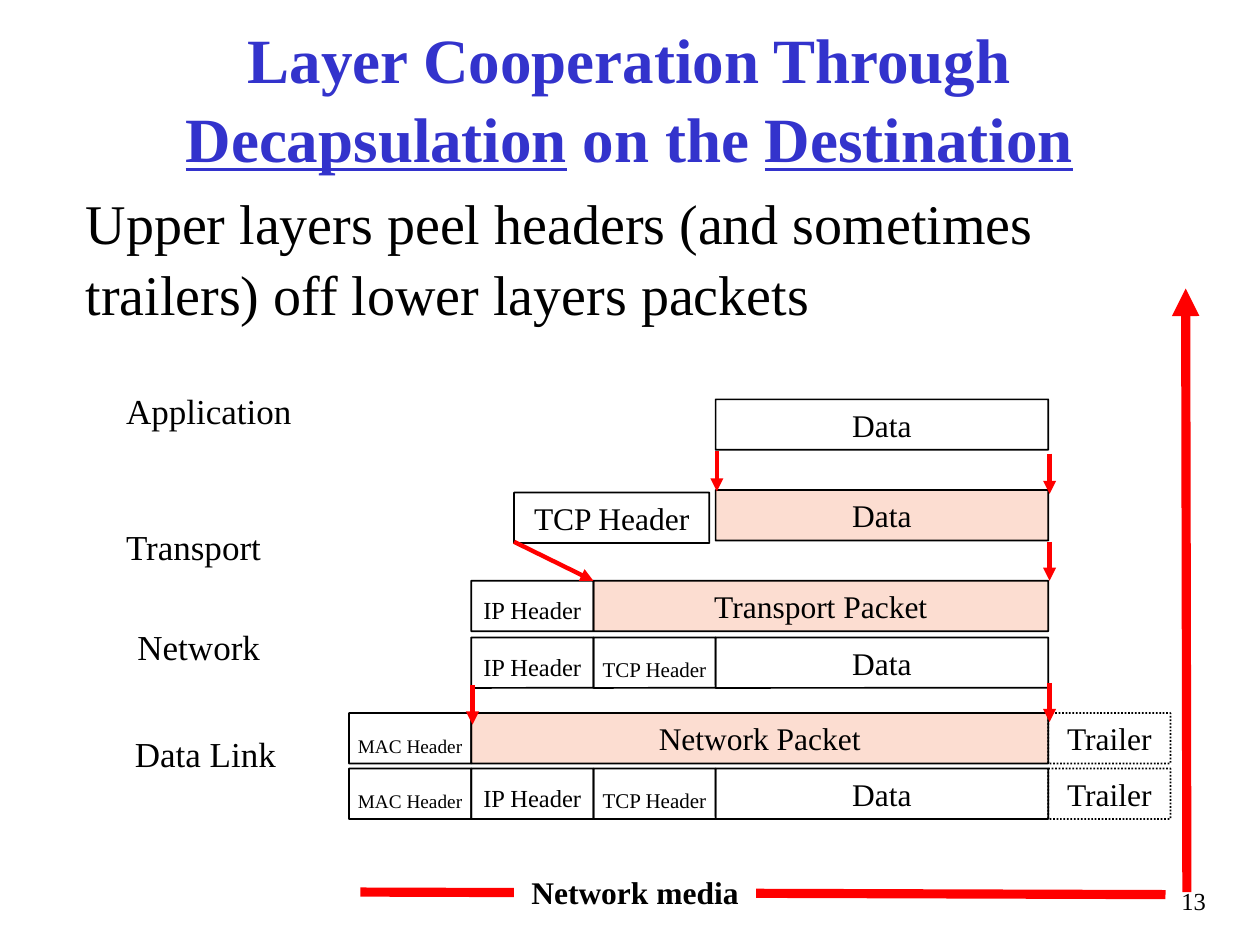
from lxml import etree
from pptx import Presentation
from pptx.dml.color import RGBColor
from pptx.enum.dml import MSO_LINE
from pptx.enum.shapes import MSO_CONNECTOR, MSO_SHAPE
from pptx.enum.text import MSO_ANCHOR, MSO_AUTO_SIZE, PP_ALIGN
from pptx.oxml.ns import qn
from pptx.util import Inches, Pt

CENTER, LEFT, RIGHT = PP_ALIGN.CENTER, PP_ALIGN.LEFT, PP_ALIGN.RIGHT
TOP, BOTTOM = MSO_ANCHOR.TOP, MSO_ANCHOR.BOTTOM
NO_AUTOFIT = MSO_AUTO_SIZE.NONE
BOX = MSO_SHAPE.ROUNDED_RECTANGLE
STRAIGHT = MSO_CONNECTOR.STRAIGHT
DOTTED = MSO_LINE.ROUND_DOT
FONT = "Times New Roman"
COLORS = {"title": "3333CC", "text": "000000", "packet": "F57B49",
          "arrow": "FF0000", "paper": "FFFFFF"}


def write_text(shape, text, size, align, anchor, margins, color="text", bold=False):
    frame = shape.text_frame
    frame.word_wrap = True
    frame.auto_size = NO_AUTOFIT
    frame.vertical_anchor = anchor
    frame.margin_left = frame.margin_right = Inches(margins[0])
    frame.margin_top, frame.margin_bottom = Inches(margins[1]), Inches(margins[2])
    frame.text = text
    paragraph = frame.paragraphs[0]
    paragraph.alignment = align
    paragraph.space_before = Pt(0)
    for run in paragraph.runs:
        run.font.name = FONT
        run.font.size = Pt(size)
        run.font.bold = bold
        run.font.color.rgb = RGBColor.from_string(COLORS[color])
    return paragraph


def add_line(start, end, width, arrow=True):
    line = slide.shapes.add_connector(STRAIGHT, *[Inches(value) for value in start + end])
    line.line.color.rgb = RGBColor.from_string(COLORS["arrow"])
    line.line.width = Pt(width)
    if arrow:
        etree.SubElement(line.line._get_or_add_ln(), qn("a:tailEnd"), type="triangle")
    etree.SubElement(line._element.spPr, qn("a:effectLst"))


presentation = Presentation()
presentation.slide_width, presentation.slide_height = Inches(10), Inches(7.5)
slide = presentation.slides.add_slide(presentation.slide_layouts[1])

title, body = slide.placeholders
title.left, title.top, title.width, title.height = [Inches(v) for v in (0.58, 0.08, 8.83, 1.17)]
body.left, body.top, body.width, body.height = [Inches(v) for v in (0.58, 1.42, 9.04, 1.16)]

paragraph = write_text(title, "Layer Cooperation Through ", 36, CENTER, TOP,
                       (0.1, 0.05, 0.05), "title", True)
paragraph.line_spacing = 1.05
for text, underlined in [("Decapsulation", True), (" on the ", False), ("Destination", True)]:
    run = paragraph.add_run()
    run.text = text
    run.font.name = FONT
    run.font.size = Pt(36)
    run.font.bold = True
    run.font.underline = underlined
    run.font.color.rgb = RGBColor.from_string(COLORS["title"])

paragraph = write_text(
    body, "Upper layers peel headers (and sometimes trailers) off lower layers packets",
    32, LEFT, TOP, (0.1, 0.05, 0.05))
paragraph.line_spacing = 1.05
properties = paragraph._p.get_or_add_pPr()
properties.set("marL", "0")
properties.set("indent", "0")
etree.SubElement(properties, qn("a:buNone"))

layers = [("Application", 0.91, 3.03, 1.76), ("Transport", 0.91, 4.11, 1.57),
          ("Network", 1, 4.9, 1.39), ("Data Link", 0.98, 5.75, 1.32)]
for name, left, top, width in layers:
    label = slide.shapes.add_shape(BOX, Inches(left), Inches(top), Inches(width), Inches(0.45))
    label.adjustments[0] = 0.003
    label.shadow.inherit = False
    label.fill.background()
    label.line.fill.background()
    write_text(label, name, 20, LEFT, TOP, (0.09, 0.06, 0.04))

MAC, IP, TCP, DATA, TRAILER, END = 2.77, 3.74, 4.71, 5.68, 8.32, 9.29
rows = [
    (3.17, [("Data", DATA, TRAILER, 18)]),
    (3.89, [("Data", DATA, TRAILER, 18)]),
    (3.91, [("TCP Header", 4.08, 5.63, 18)]),
    (4.61, [("IP Header", IP, TCP, 14), ("Transport Packet", TCP, TRAILER, 18)]),
    (5.06, [("IP Header", IP, TCP, 14), ("TCP Header", TCP, DATA, 12),
            ("Data", DATA, TRAILER, 18)]),
    (5.66, [("MAC Header", MAC, IP, 11), ("Network Packet", IP, TRAILER, 18),
            ("Trailer", TRAILER, END, 18)]),
    (6.1, [("MAC Header", MAC, IP, 11), ("IP Header", IP, TCP, 14),
           ("TCP Header", TCP, DATA, 12), ("Data", DATA, TRAILER, 18),
           ("Trailer", TRAILER, END, 18)]),
]
for top, fields in rows:
    for name, left, right, size in fields:
        field = slide.shapes.add_shape(BOX, Inches(left), Inches(top),
                                       Inches(right - left), Inches(0.4))
        field.adjustments[0] = 0.004
        field.shadow.inherit = False
        field.line.color.rgb = RGBColor.from_string(COLORS["text"])
        field.line.width = Pt(1)
        if name == "Trailer":
            field.line.dash_style = DOTTED
        if "Packet" in name or (name == "Data" and top == 3.89):
            field.fill.solid()
            field.fill.fore_color.rgb = RGBColor.from_string(COLORS["packet"])
            fill_color = field._element.spPr.find(qn("a:solidFill"))[0]
            etree.SubElement(fill_color, qn("a:alpha"), val="25000")
        else:
            field.fill.background()
        write_text(field, name, size, CENTER, BOTTOM, (0.05, 0, 0.05))

page_number = slide.shapes.add_textbox(Inches(9.17), Inches(6.98), Inches(0.5), Inches(0.5))
write_text(page_number, "13", 14, RIGHT, TOP, (0.1, 0.05, 0.05))

arrows = [((4.08, 4.3), (4.71, 4.61)), ((8.33, 4.3), (8.33, 4.61)),
          ((8.33, 3.6), (8.33, 3.92)), ((5.69, 3.58), (5.69, 3.9)),
          ((8.33, 5.42), (8.33, 5.73)), ((3.75, 5.44), (3.75, 5.75))]
for start, end in arrows:
    add_line(start, end, 2.5)

add_line((9.25, 7.1), (2.86, 7.08), 5.25, arrow=False)
media = slide.shapes.add_shape(MSO_SHAPE.RECTANGLE, Inches(4.08), Inches(6.83),
                               Inches(1.92), Inches(0.5))
media.shadow.inherit = False
media.fill.solid()
media.fill.fore_color.rgb = RGBColor.from_string(COLORS["paper"])
media.line.fill.background()
write_text(media, "Network media", 18, CENTER, TOP, (0.1, 0.1, 0.1), bold=True)

add_line((9.42, 7.08), (9.41, 2.29), 5.25)

presentation.save("out.pptx")
